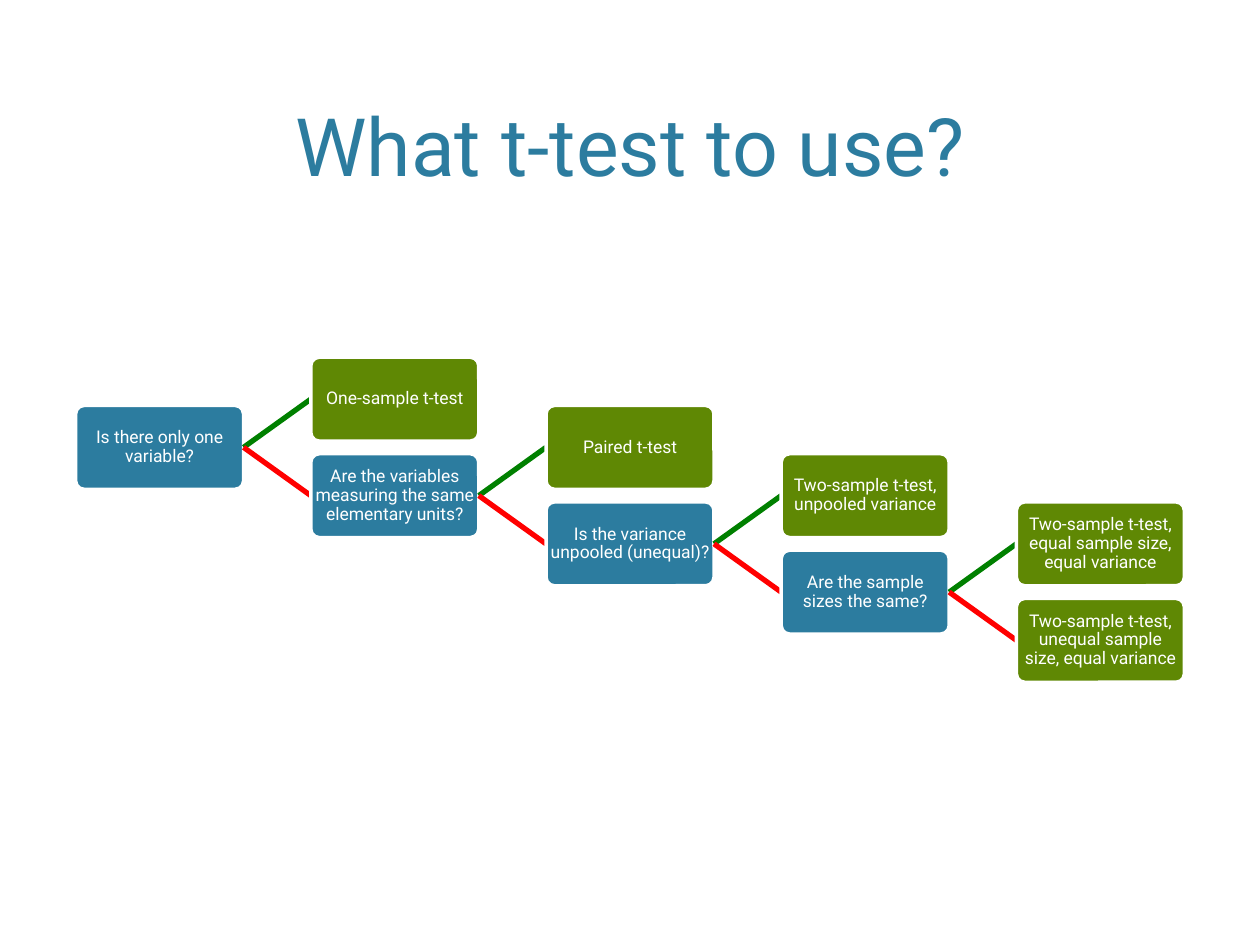
import pptx
import pptx.util
import pptx.dml.color
import pptx.enum.shapes
import pptx.enum.text
import pptx.oxml

FONT = "Roboto"
BLUE, GREEN, WHITE = "2C7C9F", "5F8804", "FFFFFF"
YES, NO = "008000", "FF0000"

# Each question with the test chosen when the answer is yes
STEPS = [
    ("Is there only one variable?", "One-sample t-test"),
    ("Are the variables measuring the same elementary units?", "Paired t-test"),
    ("Is the variance unpooled (unequal)?", "Two-sample t-test, unpooled variance"),
    ("Are the sample sizes the same?",
     "Two-sample t-test, equal sample size, equal variance"),
]
LAST_TEST = "Two-sample t-test, unequal sample size, equal variance"

# Pitch of the grid, in node widths and node heights
COLUMN_PITCH, ROW_PITCH = 1.4, 0.575


def color(value):
    return pptx.dml.color.RGBColor.from_string(value)


def format_text(frame, size, text_color):
    frame.word_wrap = True
    paragraph = frame.paragraphs[0]
    paragraph.alignment = pptx.enum.text.PP_ALIGN.CENTER
    font = paragraph.runs[0].font
    font.name, font.size = FONT, pptx.util.Pt(size)
    font.color.rgb = color(text_color)
    return paragraph


def place_title(slide, box, text):
    title = slide.shapes.title
    title.left, title.top, title.width, title.height = box
    title.text_frame.text = text
    title.text_frame.vertical_anchor = pptx.enum.text.MSO_ANCHOR.BOTTOM
    format_text(title.text_frame, 46, BLUE)


def add_node(slide, box, text, fill):
    node = slide.shapes.add_shape(
        pptx.enum.shapes.MSO_SHAPE.ROUNDED_RECTANGLE, *box)
    node.adjustments[0] = 0.1
    node.shadow.inherit = False
    node.fill.solid()
    node.fill.fore_color.rgb = color(fill)
    node.line.color.rgb = color(WHITE)
    node.line.width = pptx.util.Pt(2)

    frame = node.text_frame
    frame.text = text
    frame.vertical_anchor = pptx.enum.text.MSO_ANCHOR.MIDDLE
    frame.margin_left = frame.margin_right = pptx.util.Inches(0.01)
    frame.margin_top = frame.margin_bottom = pptx.util.Inches(0.01)
    paragraph = format_text(frame, 10, WHITE)
    paragraph.line_spacing = 0.9
    paragraph.space_after = pptx.util.Pt(3.5)
    return node


def add_branch(slide, question, box, text, fill, answer):
    """Add an answer line and the node it leads to, the node in front."""
    branch = slide.shapes.add_connector(
        pptx.enum.shapes.MSO_CONNECTOR.STRAIGHT, 0, 0, 0, 0)
    branch.line.color.rgb = color(answer)
    branch.line.width = pptx.util.Pt(3)
    branch.element.spPr.append(pptx.oxml.parse_xml(
        '<a:effectLst xmlns:a="http://schemas.openxmlformats.org/drawingml/2006/main"/>'))
    node = add_node(slide, box, text, fill)
    branch.begin_connect(question, 3)
    branch.end_connect(node, 1)
    return node


def place_decision_tree(slide, box):
    left, top, width, height = box
    node_width = width / (1 + len(STEPS) * COLUMN_PITCH)
    node_height = height / (1 + (len(STEPS) + 1) * ROW_PITCH)

    def cell(column, row):
        return (round(left + column * COLUMN_PITCH * node_width),
                round(top + row * ROW_PITCH * node_height),
                round(node_width), round(node_height))

    # Every yes goes one row up, every no one row down
    question = add_node(slide, cell(0, 1), STEPS[0][0], BLUE)
    for column, (_, test) in enumerate(STEPS, start=1):
        add_branch(slide, question, cell(column, column - 1), test, GREEN, YES)
        is_last = column == len(STEPS)
        text, fill = (LAST_TEST, GREEN) if is_last else (STEPS[column][0], BLUE)
        question = add_branch(slide, question, cell(column, column + 1),
                              text, fill, NO)


def main():
    deck = pptx.Presentation()
    deck.slide_width = pptx.util.Inches(10)
    deck.slide_height = pptx.util.Inches(7.5)
    slide = deck.slides.add_slide(deck.slide_layouts.get_by_name("Title Only"))

    def region(left, top, width, height):
        return (round(left * deck.slide_width), round(top * deck.slide_height),
                round(width * deck.slide_width), round(height * deck.slide_height))

    place_title(slide, region(0.06, 0.016, 0.88, 0.195), "What t-test to use?")
    place_decision_tree(slide, region(0.06, 0.378, 0.88, 0.344))
    deck.save("out.pptx")


if __name__ == "__main__":
    main()
